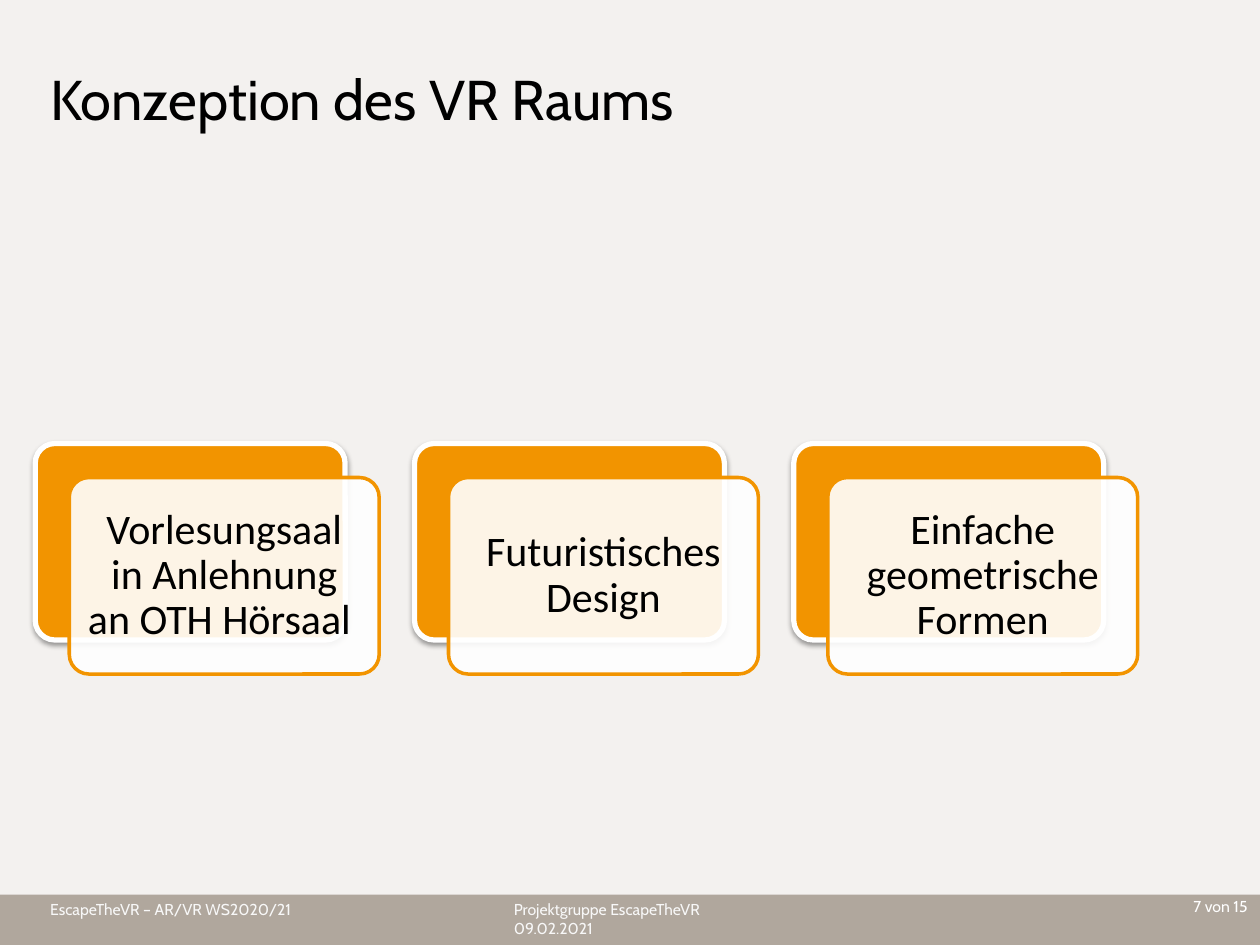
import pptx
import pptx.util
import pptx.dml.color
import pptx.enum.shapes
import pptx.enum.text
import pptx.oxml
import pptx.oxml.ns

COLORS = {
    "background": "F3F1EF",
    "band": "B0A79D",
    "footer": "F8F8F8",
    "accent": "F29400",
    "white": "FFFFFF",
    "black": "000000",
}
WIDTH, HEIGHT = 10, 7.5
CARD_PITCH = 3.01
CARDS = [
    "Vorlesungsaal in Anlehnung an OTH Hörsaal ",
    "Futuristisches Design",
    "Einfache geometrische Formen",
]
ALIGN = pptx.enum.text.PP_ALIGN
ANCHOR = pptx.enum.text.MSO_ANCHOR
SHAPE = pptx.enum.shapes.MSO_SHAPE


def inches(*values):
    return [pptx.util.Inches(v) for v in values]


def rgb(name):
    return pptx.dml.color.RGBColor.from_string(COLORS[name])


def write(tf, text, size=9, font="Cabin", color="footer", align=ALIGN.LEFT,
          anchor=ANCHOR.TOP, spacing=None, insets=(0.1, 0.05)):
    """Fill a text frame, one paragraph per line of text."""
    tf.word_wrap = True
    tf.auto_size = pptx.enum.text.MSO_AUTO_SIZE.NONE
    tf.vertical_anchor = anchor
    tf.margin_left = tf.margin_right = pptx.util.Inches(insets[0])
    tf.margin_top = tf.margin_bottom = pptx.util.Inches(insets[1])
    for i, line in enumerate(text.split("\n")):
        p = tf.add_paragraph() if i else tf.paragraphs[0]
        p.alignment = align
        if spacing:
            p.line_spacing = spacing
        r = p.add_run()
        r.text = line
        r.font.size = pptx.util.Pt(size)
        r.font.name = font
        r.font.color.rgb = rgb(color)


def add_box(shapes, kind, box, fill, line=None, line_width=1):
    sp = shapes.add_shape(kind, *inches(*box))
    sp.shadow.inherit = False
    sp.fill.solid()
    sp.fill.fore_color.rgb = rgb(fill)
    if line:
        sp.line.color.rgb = rgb(line)
        sp.line.width = pptx.util.Pt(line_width)
    else:
        sp.line.fill.background()
    return sp


def add_shadow(sp):
    """Soft shadow straight below the shape."""
    effects = sp._element.spPr.find(pptx.oxml.ns.qn("a:effectLst"))
    effects.append(pptx.oxml.parse_xml(
        f'<a:outerShdw {pptx.oxml.ns.nsdecls("a")} blurRad="40000" dist="20000"'
        f' dir="5400000" rotWithShape="0"><a:srgbClr val="{COLORS["black"]}">'
        '<a:alpha val="38000"/></a:srgbClr></a:outerShdw>'))


def set_opacity(sp, percent):
    color = sp._element.spPr.find(
        pptx.oxml.ns.qn("a:solidFill")).find(pptx.oxml.ns.qn("a:srgbClr"))
    color.append(pptx.oxml.parse_xml(
        f'<a:alpha {pptx.oxml.ns.nsdecls("a")} val="{percent * 1000}"/>'))


def add_title(s, text, box):
    title = s.shapes.title
    title.left, title.top, title.width, title.height = inches(*box)
    write(title.text_frame, text, size=32, color="black")


def add_card(s, text, box):
    """Orange plate, translucent front panel and its caption."""
    x, y, w, h = box
    offset, pad = 0.27, 0.05
    shapes = s.shapes.add_group_shape().shapes
    plate = add_box(shapes, SHAPE.ROUNDED_RECTANGLE, box, "accent", "white", 3)
    add_shadow(plate)
    panel = add_box(shapes, SHAPE.ROUNDED_RECTANGLE,
                    (x + offset, y + offset, w, h), "white", "accent", 2)
    set_opacity(panel, 90)
    for sp in (plate, panel):
        sp.adjustments[0] = 0.1
    caption = shapes.add_textbox(*inches(
        x + offset + pad, y + offset + pad, w - 2 * pad, h - 2 * pad))
    write(caption.text_frame, text, size=24, font="Calibri", color="black",
          align=ALIGN.CENTER, anchor=ANCHOR.MIDDLE, spacing=0.9,
          insets=(0.1, 0.1))


def add_footer(s, box):
    """Band with project, group and page number."""
    x, y, w, h = box
    add_box(s.shapes, SHAPE.RECTANGLE, box, "band")
    parts = [
        ("Projektgruppe EscapeTheVR\n09.02.2021", 3.98, -0.01, 3.17, {}),
        ("EscapeTheVR – AR/VR WS2020/21", 0.3, -0.01, 2.54, {}),
        ("7 von 15", w - 3.17, -0.03, 3.17,
         {"align": ALIGN.RIGHT, "color": "white"}),
    ]
    for text, dx, dy, width, style in parts:
        tb = s.shapes.add_textbox(*inches(x + dx, y + dy, width, 0.52))
        write(tb.text_frame, text, **style)


def main():
    prs = pptx.Presentation()
    prs.slide_width, prs.slide_height = inches(WIDTH, HEIGHT)
    s = prs.slides.add_slide(prs.slide_layouts[5])
    s.background.fill.solid()
    s.background.fill.fore_color.rgb = rgb("background")

    add_footer(s, (0, HEIGHT - 0.4, WIDTH, 0.4))
    add_title(s, "Konzeption des VR Raums", (0.3, 0.46, 6.49, 1.47))
    for i, text in enumerate(CARDS):
        add_card(s, text, (0.28 + i * CARD_PITCH, 3.52, 2.46, 1.56))
    prs.save("out.pptx")


if __name__ == "__main__":
    main()
